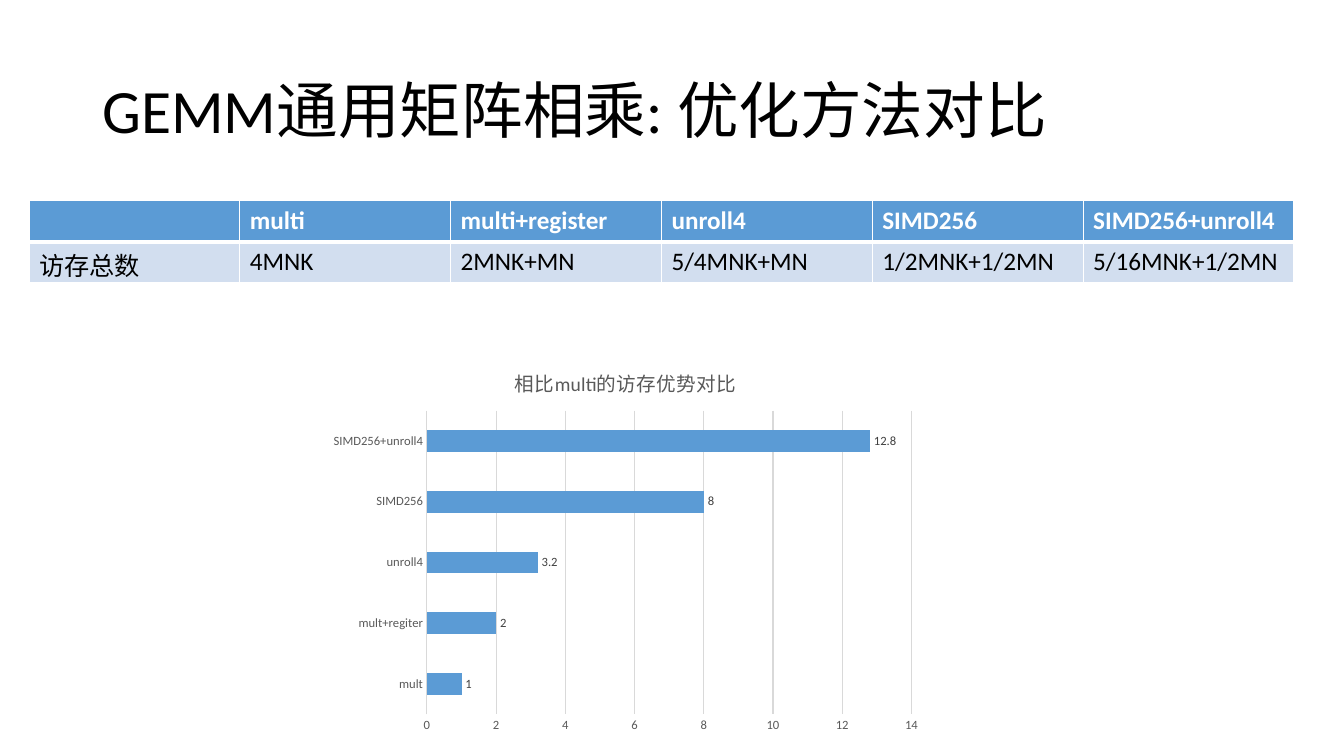
from pptx import Presentation
from pptx.chart.data import CategoryChartData
from pptx.dml.color import RGBColor
from pptx.enum.chart import XL_CHART_TYPE, XL_LABEL_POSITION, XL_TICK_MARK
from pptx.enum.text import MSO_ANCHOR
from pptx.oxml import parse_xml
from pptx.oxml.ns import nsdecls
from pptx.util import Cm, Pt

BLACK = RGBColor(0x00, 0x00, 0x00)
WHITE = RGBColor(0xFF, 0xFF, 0xFF)
BLUE = RGBColor(0x5B, 0x9B, 0xD5)
PALE = RGBColor(0xD2, 0xDE, 0xEF)
GRID = RGBColor(0xD9, 0xD9, 0xD9)
GREY = RGBColor(0x59, 0x59, 0x59)
DARK = RGBColor(0x40, 0x40, 0x40)
FACE = "Calibri"

ROWS = [
    ["", "multi", "multi+register", "unroll4", "SIMD256", "SIMD256+unroll4"],
    ["访存总数", "4MNK", "2MNK+MN", "5/4MNK+MN", "1/2MNK+1/2MN", "5/16MNK+1/2MN"],
]
GAINS = {"mult": 1, "mult+regiter": 2, "unroll4": 3.2, "SIMD256": 8, "SIMD256+unroll4": 12.8}


def style(font, size, color, bold=False):
    font.name = FACE
    font.size = Pt(size)
    font.bold = bold
    font.color.rgb = color


def add_run(para, text, size, color, bold=False):
    run = para.add_run()
    run.text = text
    style(run.font, size, color, bold)


def add_title(slide, left, top, width, height):
    frame = slide.shapes.add_textbox(left, top, width, height).text_frame
    frame.word_wrap = True
    frame.vertical_anchor = MSO_ANCHOR.MIDDLE
    para = frame.paragraphs[0]
    para.line_spacing = 0.9
    add_run(para, "GEMM通用矩阵相乘: 优化方法对比", 44, BLACK)


def add_edges(cell, base):
    props = cell._tc.get_or_add_tcPr()
    widths = {"lnL": 1, "lnR": 1, "lnT": 1, "lnB": base}
    for spot, (tag, width) in enumerate(widths.items()):
        props.insert(spot, parse_xml(
            f'<a:{tag} {nsdecls("a")} w="{Pt(width)}"><a:solidFill>'
            f'<a:srgbClr val="{WHITE}"/></a:solidFill></a:{tag}>'))


def add_grid(slide, left, top, width, height):
    table = slide.shapes.add_table(len(ROWS), len(ROWS[0]), left, top, width, height).table
    looks = [(BLUE, WHITE, True, 3), (PALE, BLACK, False, 1)]
    for r, (texts, (fill, color, bold, base)) in enumerate(zip(ROWS, looks)):
        for c, text in enumerate(texts):
            cell = table.cell(r, c)
            cell.fill.solid()
            cell.fill.fore_color.rgb = fill
            add_edges(cell, base)
            if text:
                add_run(cell.text_frame.paragraphs[0], text, 18, color, bold)


def style_axis(axis):
    axis.major_tick_mark = axis.minor_tick_mark = XL_TICK_MARK.NONE
    style(axis.tick_labels.font, 9, GREY)


def add_bars(slide, left, top, width, height):
    data = CategoryChartData()
    data.categories = list(GAINS)
    data.add_series("Series 1", list(GAINS.values()))
    chart = slide.shapes.add_chart(
        XL_CHART_TYPE.BAR_CLUSTERED, left, top, width, height, data).chart
    style(chart.font, 10, BLACK)
    chart.has_legend = False
    chart.has_title = True
    add_run(chart.chart_title.text_frame.paragraphs[0], "相比multi的访存优势对比", 14, GREY)
    chart.chart_title.include_in_layout = False

    cats, vals = chart.category_axis, chart.value_axis
    style_axis(cats)
    cats.format.line.color.rgb = GRID
    cats.format.line.width = Pt(0.75)
    style_axis(vals)
    vals.format.line.fill.background()
    vals.minimum_scale, vals.maximum_scale, vals.major_unit = 0, 14, 2
    vals.has_major_gridlines = True
    line = vals.major_gridlines.format.line
    line.color.rgb = GRID
    line.width = Pt(0.75)

    plot = chart.plots[0]
    plot.gap_width = 182
    plot.vary_by_categories = False
    bars = plot.series[0]
    bars.format.fill.solid()
    bars.format.fill.fore_color.rgb = BLUE
    labels = bars.data_labels
    labels.show_value = True
    labels.position = XL_LABEL_POSITION.OUTSIDE_END
    style(labels.font, 9, DARK)


def main():
    deck = Presentation()
    deck.slide_width, deck.slide_height = Cm(33.87), Cm(19.05)
    slide = deck.slides.add_slide(deck.slide_layouts[6])
    add_title(slide, Cm(2.33), Cm(1.01), Cm(29.21), Cm(3.68))
    add_grid(slide, Cm(0.73), Cm(5.06), Cm(31.88), Cm(2.06))
    add_bars(slide, Cm(8.1), Cm(8.81), Cm(15.34), Cm(9.86))
    deck.save("out.pptx")


if __name__ == "__main__":
    main()
